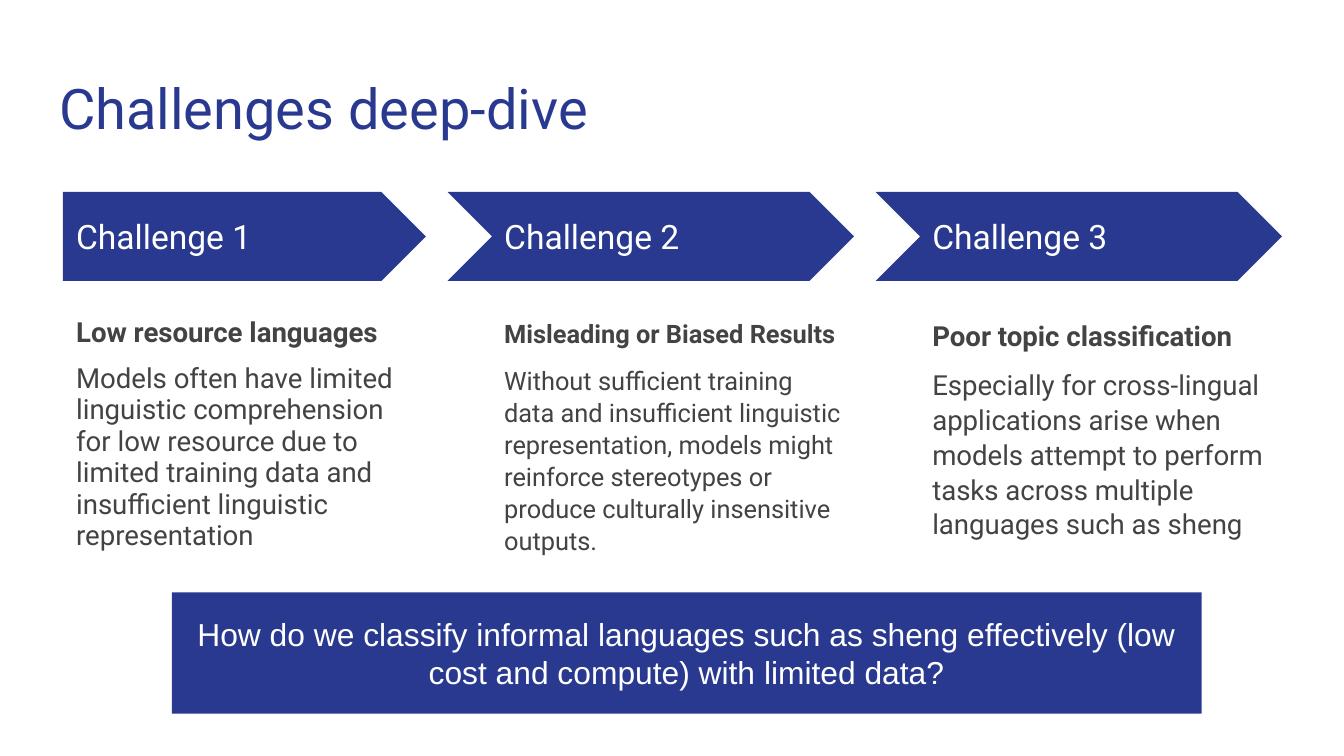
from pptx import Presentation
from pptx.dml.color import RGBColor
from pptx.enum.shapes import MSO_SHAPE
from pptx.enum.text import MSO_ANCHOR, PP_ALIGN
from pptx.util import Cm, Pt

CHALLENGES = [
    ("Challenge 1", "Low resource languages",
     "Models often have limited linguistic comprehension for low resource due to "
     "limited training data and insufficient linguistic representation",
     {"size": 14.8, "spacing": 0.95}),
    ("Challenge 2", "Misleading or Biased Results",
     "Without sufficient training data and insufficient linguistic representation, "
     "models might reinforce stereotypes or produce culturally insensitive outputs.",
     {"size": 13.6, "spacing": 1.05}),
    ("Challenge 3", "Poor topic classification",
     "Especially for cross-lingual applications arise when models attempt to perform "
     "tasks across multiple languages such as sheng",
     {"size": 14.8, "spacing": 1.05}),
]


def color(value):
    return RGBColor.from_string(value)


def apply(target, values):
    for name, value in values.items():
        setattr(target, name, value)


class SlideBuilder:
    blue = "2A3990"
    gray = "434343"
    white = "FFFFFF"
    font = "Roboto"
    inset = Cm(0.25)

    def __init__(self, deck):
        self.page = deck.slides.add_slide(deck.slide_layouts[6])

    def frame(self, box, anchor):
        apply(box.text_frame, {
            "word_wrap": True, "vertical_anchor": anchor,
            "margin_left": self.inset, "margin_right": self.inset,
            "margin_top": self.inset, "margin_bottom": self.inset,
        })

    def paragraph(self, para, text, size, fill, font=None, bold=False, **layout):
        apply(para, layout)
        span = para.add_run()
        span.text = text
        apply(span.font, {"name": font or self.font, "size": Pt(size), "bold": bold})
        span.font.color.rgb = color(fill)

    def text(self, left, top, width, height, anchor=MSO_ANCHOR.TOP):
        box = self.page.shapes.add_textbox(Cm(left), Cm(top), Cm(width), Cm(height))
        self.frame(box, anchor)
        return box.text_frame

    def shape(self, kind, left, top, width, height):
        box = self.page.shapes.add_shape(kind, Cm(left), Cm(top), Cm(width), Cm(height))
        box.shadow.inherit = False
        box.fill.solid()
        box.fill.fore_color.rgb = color(self.blue)
        box.line.fill.background()
        self.frame(box, MSO_ANCHOR.MIDDLE)
        return box.text_frame

    def title(self, text):
        frame = self.text(0.87, 1.14, 23.67, 1.68)
        self.paragraph(frame.paragraphs[0], text, 30, self.blue)

    def challenge(self, left, notch, label, heading, body, style):
        kind = MSO_SHAPE.CHEVRON if notch else MSO_SHAPE.PENTAGON
        self.shape(kind, left - notch, 3.63, 6.86 + notch, 1.68)
        frame = self.text(left, 4.04, 6.27, 0.86, MSO_ANCHOR.MIDDLE)
        self.paragraph(frame.paragraphs[0], label, 18, self.white)

        frame = self.text(left, 5.74, 6.86, 5.16)
        size, spacing = style["size"], style["spacing"]
        self.paragraph(frame.paragraphs[0], heading, size, self.gray, bold=True,
                       line_spacing=spacing)
        self.paragraph(frame.add_paragraph(), body, size, self.gray,
                       line_spacing=spacing, space_before=Pt(8), space_after=Pt(8))

    def question(self, text):
        frame = self.shape(MSO_SHAPE.RECTANGLE, 3.25, 11.2, 19.46, 2.29)
        self.paragraph(frame.paragraphs[0], text, 17, self.white, font="Arial",
                       alignment=PP_ALIGN.CENTER)


def main():
    deck = Presentation()
    apply(deck, {"slide_width": Cm(25.4), "slide_height": Cm(14.29)})
    builder = SlideBuilder(deck)
    builder.title("Challenges deep-dive")
    for index, challenge in enumerate(CHALLENGES):
        builder.challenge(1.19 + 8.09 * index, 0.82 if index else 0, *challenge)
    builder.question("How do we classify informal languages such as sheng effectively "
                     "(low cost and compute) with limited data?")
    deck.save("out.pptx")


if __name__ == "__main__":
    main()
